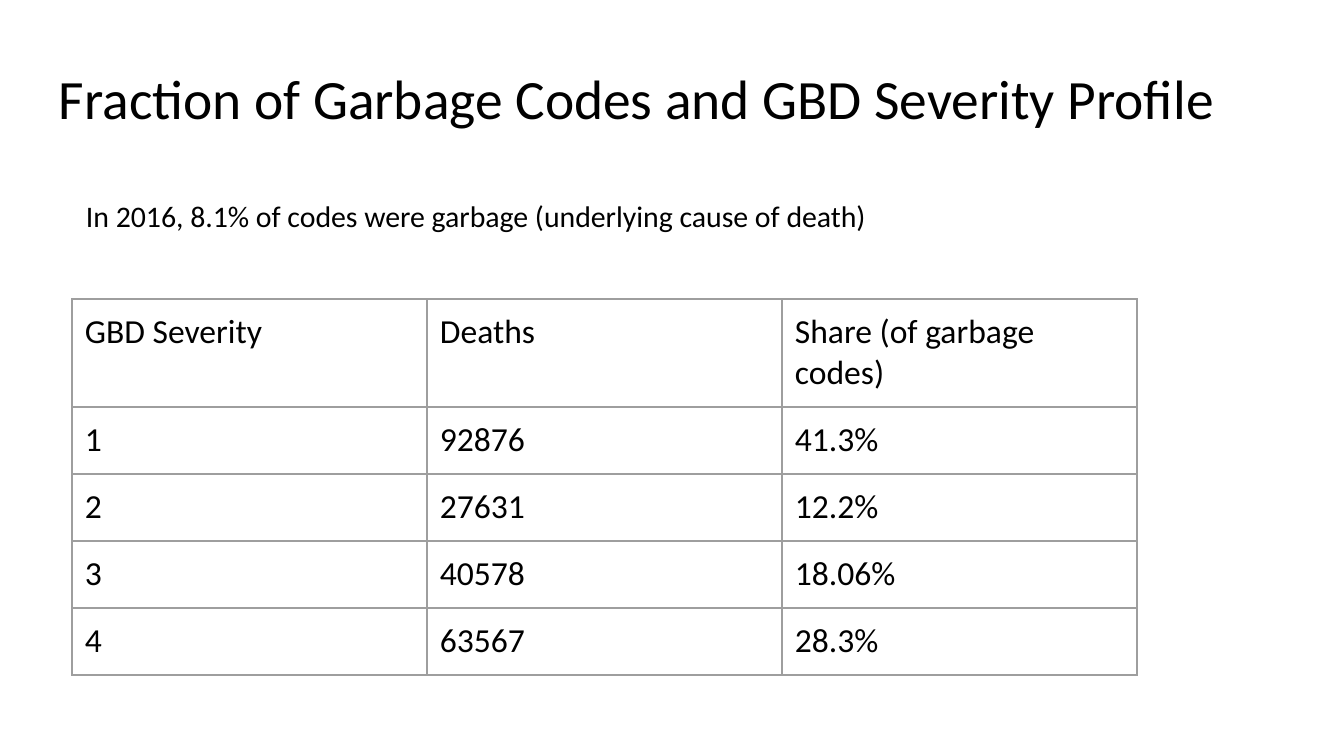
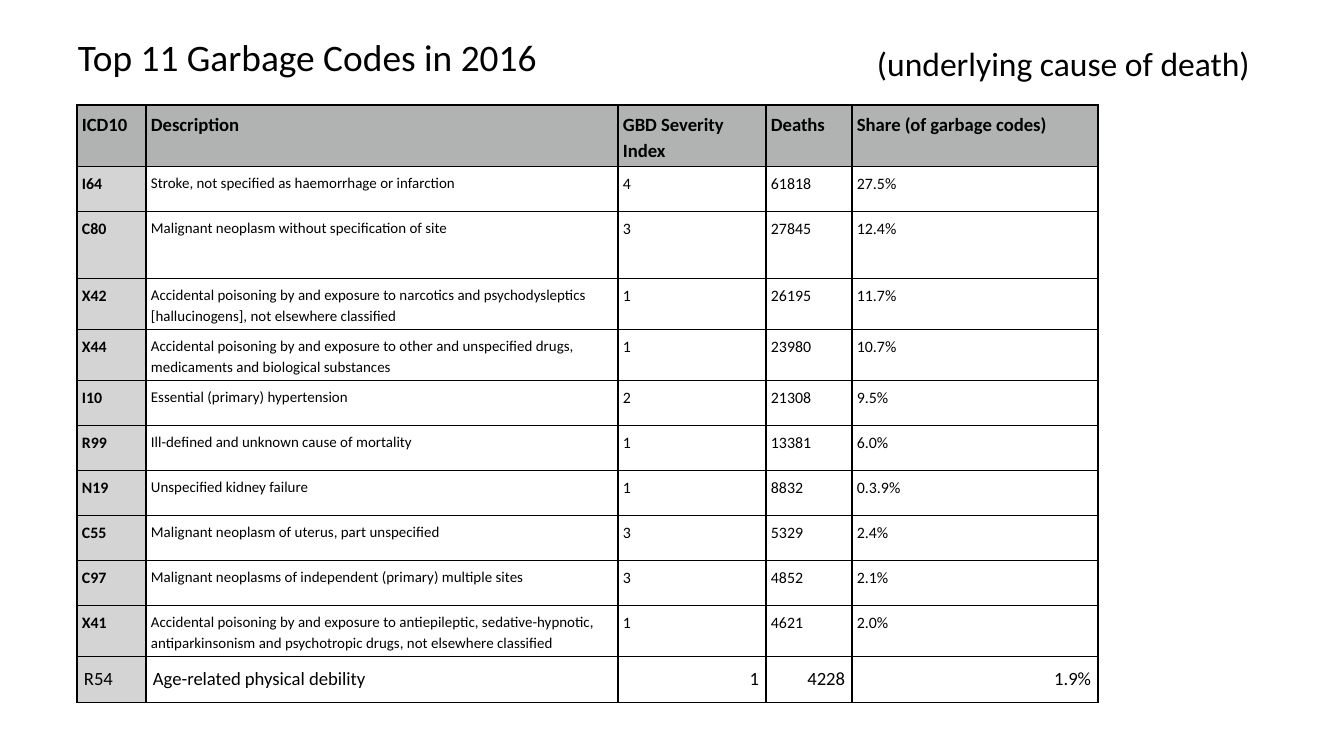
from lxml import etree
from pptx import Presentation
from pptx import util as u
from pptx.dml.color import RGBColor
from pptx.enum import text
from pptx.oxml.ns import qn

FONT = "Calibri"
BLACK, WHITE = "000000", "FFFFFF"
GREY, HEAD, SIDE = "9E9E9E", "B0B3B2", "D4D4D4"
TITLE = {"width": 1253, "height": 85}

SEVERITY = [
    ("GBD Severity", "Deaths", "Share (of garbage codes)"),
    ("1", "92876", "41.3%"),
    ("2", "27631", "12.2%"),
    ("3", "40578", "18.06%"),
    ("4", "63567", "28.3%"),
]

# Each row height in px, then the cells of that row
CODES = [
    (57, "ICD10", "Description", "GBD Severity Index", "Deaths",
     "Share (of garbage codes)"),
    (45, "I64", "Stroke, not specified as haemorrhage or infarction",
     "4", "61818", "27.5%"),
    (67, "C80", "Malignant neoplasm without specification of site",
     "3", "27845", "12.4%"),
    (47, "X42", "Accidental poisoning by and exposure to narcotics and "
     "psychodysleptics [hallucinogens], not elsewhere classified",
     "1", "26195", "11.7%"),
    (47, "X44", "Accidental poisoning by and exposure to other and "
     "unspecified drugs, medicaments and biological substances",
     "1", "23980", "10.7%"),
    (45, "I10", "Essential (primary) hypertension", "2", "21308", "9.5%"),
    (45, "R99", "Ill-defined and unknown cause of mortality",
     "1", "13381", "6.0%"),
    (45, "N19", "Unspecified kidney failure", "1", "8832", "0.3.9%"),
    (45, "C55", "Malignant neoplasm of uterus, part unspecified",
     "3", "5329", "2.4%"),
    (45, "C97", "Malignant neoplasms of independent (primary) multiple sites",
     "3", "4852", "2.1%"),
    (47, "X41", "Accidental poisoning by and exposure to antiepileptic, "
     "sedative-hypnotic, antiparkinsonism and psychotropic drugs, "
     "not elsewhere classified", "1", "4621", "2.0%"),
    (46, "R54", "Age-related physical debility", "1", "4228", "1.9%"),
]


def px(n):
    return u.Emu(round(n * 914400 / 134.4))


def rgb(code):
    return RGBColor.from_string(code)


def put(target, values):
    for name, value in values.items():
        setattr(target, name, value)


def pad(target, side, top):
    """Set the inner margins of a text frame or cell."""
    put(target, {"margin_left": px(side), "margin_right": px(side),
                 "margin_top": px(top), "margin_bottom": px(top)})


def write(frame, words, size, bold=False, **para):
    line = frame.paragraphs[0]
    put(line, para)
    run = line.add_run()
    run.text = words
    put(run.font, {"name": FONT, "size": u.Pt(size), "bold": bold})
    run.font.color.rgb = rgb(BLACK)


def label(slide, words, left, top, width, height, size,
          wrap=True, grow=True, inset=13, **para):
    box = slide.shapes.add_textbox(*map(px, (left, top, width, height)))
    frame = box.text_frame
    kind = text.MSO_AUTO_SIZE
    put(frame, {"word_wrap": wrap,
                "auto_size": kind.SHAPE_TO_FIT_TEXT if grow else kind.NONE})
    pad(frame, 13, inset)
    write(frame, words, size, **para)


def title(slide, words, left, top, size):
    label(slide, words, left, top, **TITLE, size=size, grow=False,
          line_spacing=0.9)


def edge(cell, color):
    """Draw a thin line on all four sides of a cell."""
    props = cell._tc.get_or_add_tcPr()
    for side in ("lnL", "lnR", "lnT", "lnB"):
        line = etree.SubElement(props, qn("a:" + side), w=str(u.Pt(0.75)))
        fill = etree.SubElement(line, qn("a:solidFill"))
        etree.SubElement(fill, qn("a:srgbClr"), val=color)


def grid(slide, left, top, cols, rows, color):
    """Add a plain ruled table and return it."""
    frame = slide.shapes.add_table(len(rows), len(cols), px(left), px(top),
                                   px(sum(cols)), px(sum(rows)))
    table = frame.table
    put(table, {"first_row": False, "horz_banding": False})
    for col, width in zip(table.columns, cols):
        col.width = px(width)
    for row, height in zip(table.rows, rows):
        row.height = px(height)
    for cell in table.iter_cells():
        edge(cell, color)
        cell.fill.background()
    return table


def paint(cell, color):
    cell.fill.solid()
    cell.fill.fore_color.rgb = rgb(color)


def profile(slide):
    title(slide, "Fraction of Garbage Codes and GBD Severity Profile",
          46, 59, 29.7)
    table = grid(slide, 72, 299, [355] * 3, [57] * len(SEVERITY), GREY)
    for r, row in enumerate(SEVERITY):
        for c, words in enumerate(row):
            cell = table.cell(r, c)
            pad(cell, 13, 13)
            write(cell.text_frame, words, 18)
    label(slide, "In 2016, 8.1% of codes were garbage "
          "(underlying cause of death)", 73, 185, 906, 63, 16)


def ranking(slide):
    title(slide, "Top 11 Garbage Codes in 2016", 65, 26, 20)
    heights = [row[0] for row in CODES]
    table = grid(slide, 77, 105, [69, 472, 148, 86, 246], heights, BLACK)
    last = len(CODES) - 1
    for r, (_, *row) in enumerate(CODES):
        for c, words in enumerate(row):
            cell = table.cell(r, c)
            if r == 0 or c == 0:
                paint(cell, SIDE if r else HEAD)
            if r == last:
                pad(cell, 7, 5)
                cell.vertical_anchor = text.MSO_ANCHOR.MIDDLE
                side = text.PP_ALIGN.RIGHT if c > 1 else text.PP_ALIGN.LEFT
                write(cell.text_frame, words, 10, alignment=side)
            else:
                pad(cell, 5, 5)
                size = 10 if r == 0 else 8 if c == 1 else 8.5
                write(cell.text_frame, words, size, r == 0 or c == 0,
                      line_spacing=1.15)
    label(slide, "(underlying cause of death)", 864, 36, 405, 54, 18,
          wrap=False, inset=7)


def main():
    deck = Presentation()
    put(deck, {"slide_width": px(1344), "slide_height": px(756)})
    for build in (profile, ranking):
        slide = deck.slides.add_slide(deck.slide_layouts[6])
        slide.background.fill.solid()
        slide.background.fill.fore_color.rgb = rgb(WHITE)
        build(slide)
    deck.save("out.pptx")


if __name__ == "__main__":
    main()
